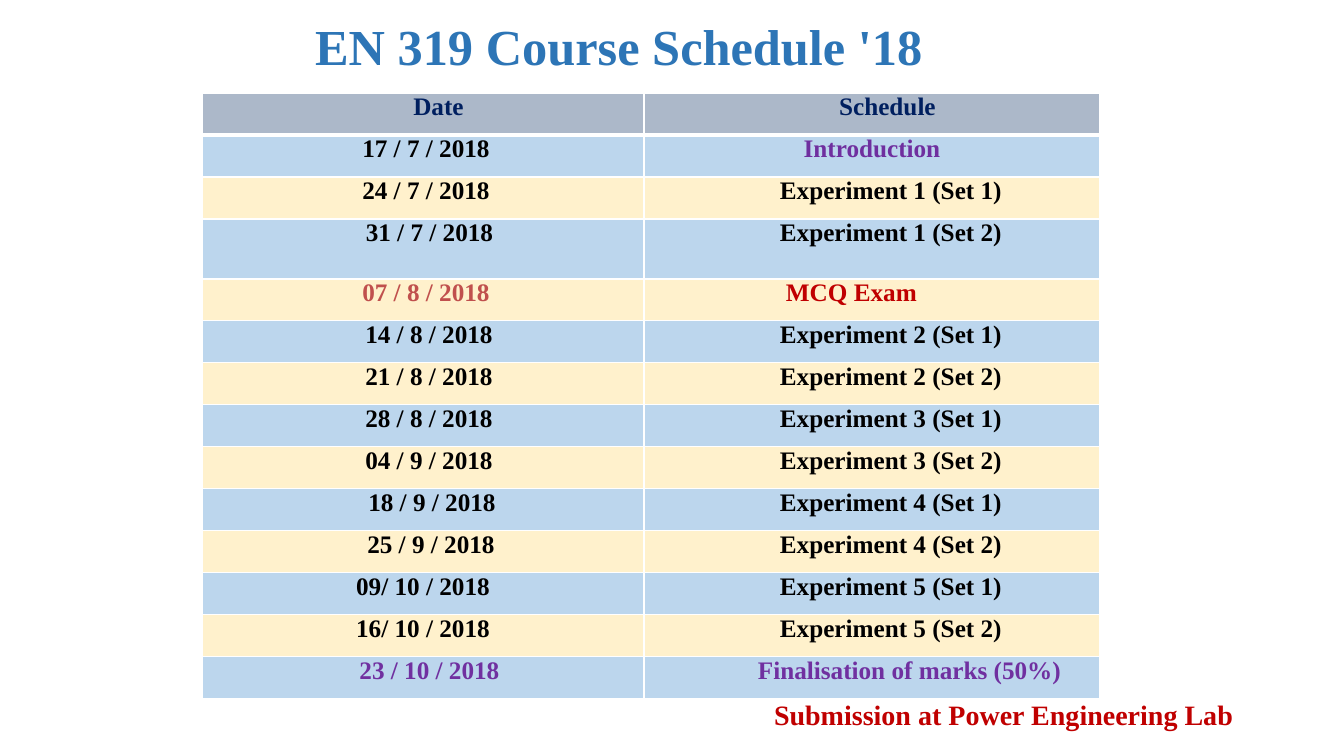
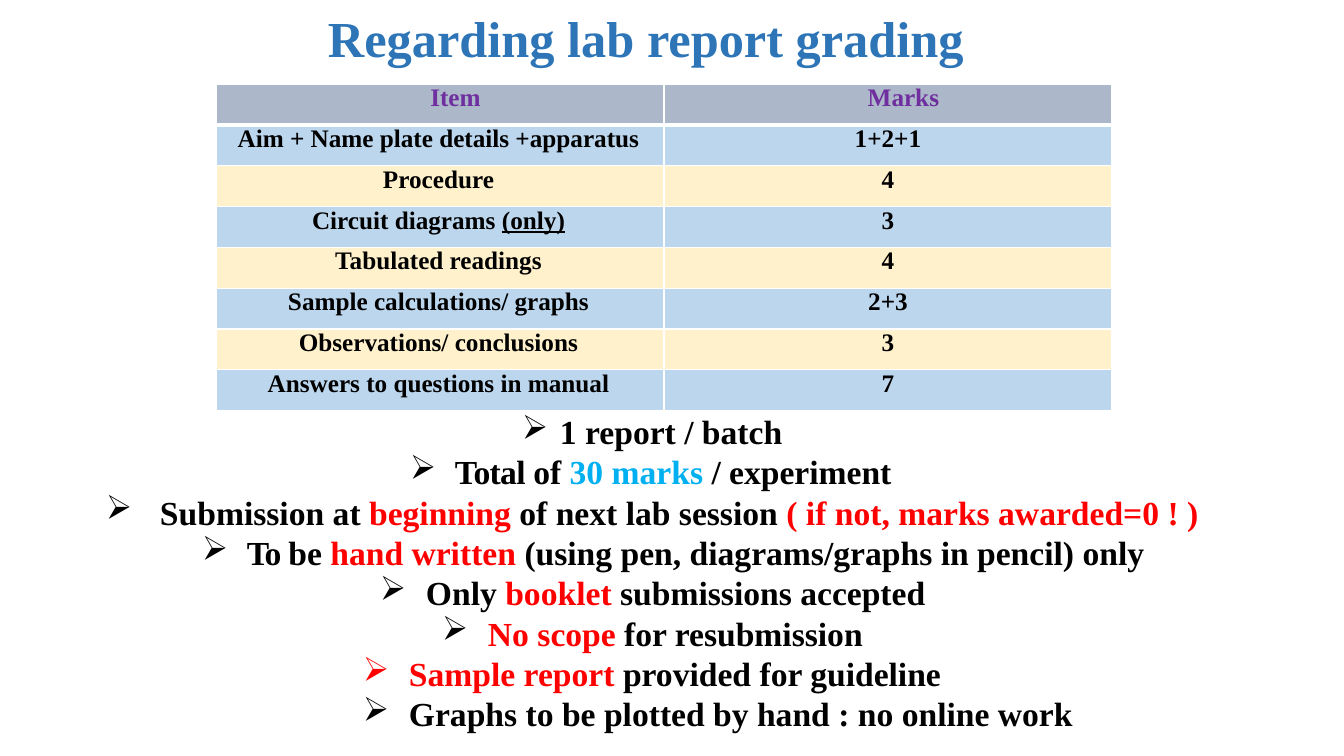
from dataclasses import dataclass

from lxml.etree import SubElement
from pptx import Presentation
from pptx.dml.color import RGBColor
from pptx.enum.text import MSO_ANCHOR, PP_ALIGN
from pptx.oxml.ns import qn
from pptx.util import Emu, Pt

PX = 914400 / 100.8  # one scale: EMU in a px


def px(length):
    return Emu(round(length * PX))


@dataclass(frozen=True)
class Theme:
    font: str = "Times New Roman"
    title_size: int = 36
    list_size: int = 24
    note_size: int = 20
    table_size: int = 18
    list_pitch: float = 28.8
    title: str = "2D75B6"
    black: str = "000000"
    white: str = "FFFFFF"
    navy: str = "001F5F"
    purple: str = "6F2F9F"
    violet: str = "7030A0"
    rose: str = "C0504D"
    crimson: str = "C00000"
    red: str = "FF0000"
    sky: str = "00B0F0"
    header: str = "ACB8C9"
    bands: tuple = ("BCD6ED", "FFF1CC")


THEME = Theme()


@dataclass
class Run:
    text: str
    color: str = THEME.black
    spacing: float = 0
    underline: bool = False


@dataclass
class Cell:
    """Table text; offset pushes it right when positive, left when negative."""
    content: object
    offset: int = 0
    color: str = THEME.black
    align: PP_ALIGN = PP_ALIGN.CENTER


@dataclass
class Item:
    """List entry with the left edge of its text and its hanging indent."""
    indent: int
    hang: int
    runs: list
    bullet_color: str = ""


def write(paragraph, content, size, color=THEME.black, align=PP_ALIGN.LEFT):
    """Write a string or a list of runs into a paragraph."""
    paragraph.alignment = align
    parts = [Run(content, color)] if isinstance(content, str) else content
    for part in parts:
        run = paragraph.add_run()
        run.text = part.text
        run.font.name = THEME.font
        run.font.size = Pt(size)
        run.font.bold = True
        run.font.color.rgb = RGBColor.from_string(part.color)
        if part.underline:
            run.font.underline = True
        if part.spacing:
            run._r.get_or_add_rPr().set("spc", str(round(part.spacing * 100)))


class Deck:
    def __init__(self):
        self.presentation = Presentation()
        self.presentation.slide_width = px(1344)
        self.presentation.slide_height = px(756)
        self.slide = None

    def new_slide(self):
        layout = self.presentation.slide_layouts[6]
        self.slide = self.presentation.slides.add_slide(layout)

    def text_frame(self, left, top, width, height):
        box = self.slide.shapes.add_textbox(px(left), px(top), px(width), px(height))
        frame = box.text_frame
        frame.word_wrap = True
        frame.margin_left = frame.margin_right = 0
        frame.margin_top = frame.margin_bottom = 0
        return frame

    def line(self, text, left, top, width, height, size, color):
        frame = self.text_frame(left, top, width, height)
        write(frame.paragraphs[0], text, size, color)

    def title(self, text, left, top):
        self.line(text, left, top, 800, 58, THEME.title_size, THEME.title)

    def bullets(self, items, left, top, width, height):
        frame = self.text_frame(left, top, width, height)
        for index, item in enumerate(items):
            paragraph = frame.add_paragraph() if index else frame.paragraphs[0]
            paragraph.line_spacing = Pt(THEME.list_pitch)
            properties = paragraph._p.get_or_add_pPr()
            properties.set("marL", str(px(item.indent)))
            properties.set("indent", str(px(-item.hang)))
            if item.bullet_color:
                color = SubElement(properties, qn("a:buClr"))
                SubElement(color, qn("a:srgbClr"), val=item.bullet_color)
            SubElement(properties, qn("a:buChar"), char="➢")
            write(paragraph, item.runs, THEME.list_size)

    def table(self, rows, left, top, widths, height, tall_rows=None):
        frame = self.slide.shapes.add_table(
            len(rows), len(widths), px(left), px(top), px(sum(widths)), px(height))
        table = frame.table
        table.horz_banding = False
        for column, width in zip(table.columns, widths):
            column.width = px(width)
        for index, row_height in (tall_rows or {}).items():
            table.rows[index].height = px(row_height)
        for row_index, row in enumerate(rows):
            for column_index, entry in enumerate(row):
                self.fill_cell(table.cell(row_index, column_index), entry, row_index)

    def fill_cell(self, cell, entry, row_index):
        cell.margin_left = px(max(entry.offset, 0))
        cell.margin_right = px(max(-entry.offset, 0))
        cell.margin_top = cell.margin_bottom = 0
        cell.vertical_anchor = MSO_ANCHOR.TOP
        # Borders go before the fill; the header is set off by a thick rule
        thick_side = {0: "lnB", 1: "lnT"}.get(row_index)
        properties = cell._tc.get_or_add_tcPr()
        for side in ("lnL", "lnR", "lnT", "lnB"):
            weight = Pt(3 if side == thick_side else 1)
            border = SubElement(properties, qn(f"a:{side}"), w=str(weight))
            fill = SubElement(border, qn("a:solidFill"))
            SubElement(fill, qn("a:srgbClr"), val=THEME.white)
        cell.fill.solid()
        band = THEME.bands[(row_index - 1) % 2] if row_index else THEME.header
        cell.fill.fore_color.rgb = RGBColor.from_string(band)
        write(cell.text_frame.paragraphs[0], entry.content, THEME.table_size,
              entry.color, entry.align)


def header_row(labels, color):
    return [Cell(label, 31, color) for label in labels]


def schedule_slide(deck):
    deck.new_slide()
    deck.title("EN 319 Course Schedule '18", 315, 15)

    # Dates and events
    dates = [
        Cell("17 / 7 / 2018", 6), Cell("24 / 7 / 2018", 6),
        Cell("31 / 7 / 2018", 13), Cell("07 / 8 / 2018", 6, THEME.rose),
        Cell("14 / 8 / 2018", 12), Cell("21 / 8 / 2018", 12),
        Cell("28 / 8 / 2018", 12), Cell("04 / 9 / 2018", 12),
        Cell("18 / 9 / 2018", 18), Cell("25 / 9 / 2018", 16),
        Cell("09/ 10 / 2018"), Cell("16/ 10 / 2018"),
        Cell("23 / 10 / 2018", 13, THEME.violet),
    ]
    experiments = [
        Cell(f"Experiment {number} (Set {group})", 136, align=PP_ALIGN.LEFT)
        for number in range(1, 6) for group in (1, 2)
    ]
    events = [
        Cell("Introduction", color=THEME.purple),
        *experiments[:2],
        Cell("MCQ Exam", 142, THEME.crimson, PP_ALIGN.LEFT),
        *experiments[2:],
        Cell("Finalisation of marks (50%)", 114, THEME.violet, PP_ALIGN.LEFT),
    ]
    rows = [header_row(("Date", "Schedule"), THEME.navy), *zip(dates, events)]
    deck.table(rows, 202, 93, (442, 456), 588, tall_rows={3: 60})

    # Place of submission
    deck.line("Submission at Power Engineering Lab", 774, 698, 513, 34,
              THEME.note_size, THEME.crimson)


def grading_slide(deck):
    deck.new_slide()
    deck.title("Regarding lab report grading", 328, 7)

    # Marks for each part of the report
    marks = [
        ("Aim + Name plate details +apparatus", "1+2+1"),
        ("Procedure", "4"),
        ([Run("Circuit diagrams "), Run("(only)", underline=True)], "3"),
        ("Tabulated readings", "4"),
        ("Sample calculations/ graphs", "2+3"),
        ("Observations/ conclusions", "3"),
        ("Answers to questions in manual", "7"),
    ]
    rows = [header_row(("Item", "Marks"), THEME.purple)]
    rows += [[Cell(part, -3), Cell(mark)] for part, mark in marks]
    deck.table(rows, 216, 84, (448, 448), 327)

    # Submission rules
    red = THEME.red
    items = [
        Item(456, 38, [Run("1 report / batch")]),
        Item(351, 45, [Run("Total ", spacing=-0.5), Run("of "),
                       Run("30 marks ", THEME.sky), Run("/ experiment")]),
        Item(56, 54, [Run("Submission at "), Run("beginning ", red),
                      Run("of next lab session "),
                      Run("( if not, marks awarded=0 ! )", red)]),
        Item(143, 45, [Run("To ", spacing=-1.1), Run("be "),
                       Run("hand written ", red),
                       Run("(using pen, diagrams/graphs in pencil) only")]),
        Item(322, 46, [Run("Only "), Run("booklet ", red),
                       Run("submissions accepted")]),
        Item(384, 46, [Run("No scope ", red), Run("for resubmission")],
             THEME.black),
        Item(305, 46, [Run("Sample report ", red),
                       Run("provided for guideline")]),
        Item(305, 46, [Run("Graphs to be plotted by hand : no online work")]),
    ]
    deck.bullets(items, 104, 411, 1150, 326)


def main():
    deck = Deck()
    schedule_slide(deck)
    grading_slide(deck)
    deck.presentation.save("out.pptx")


if __name__ == "__main__":
    main()
